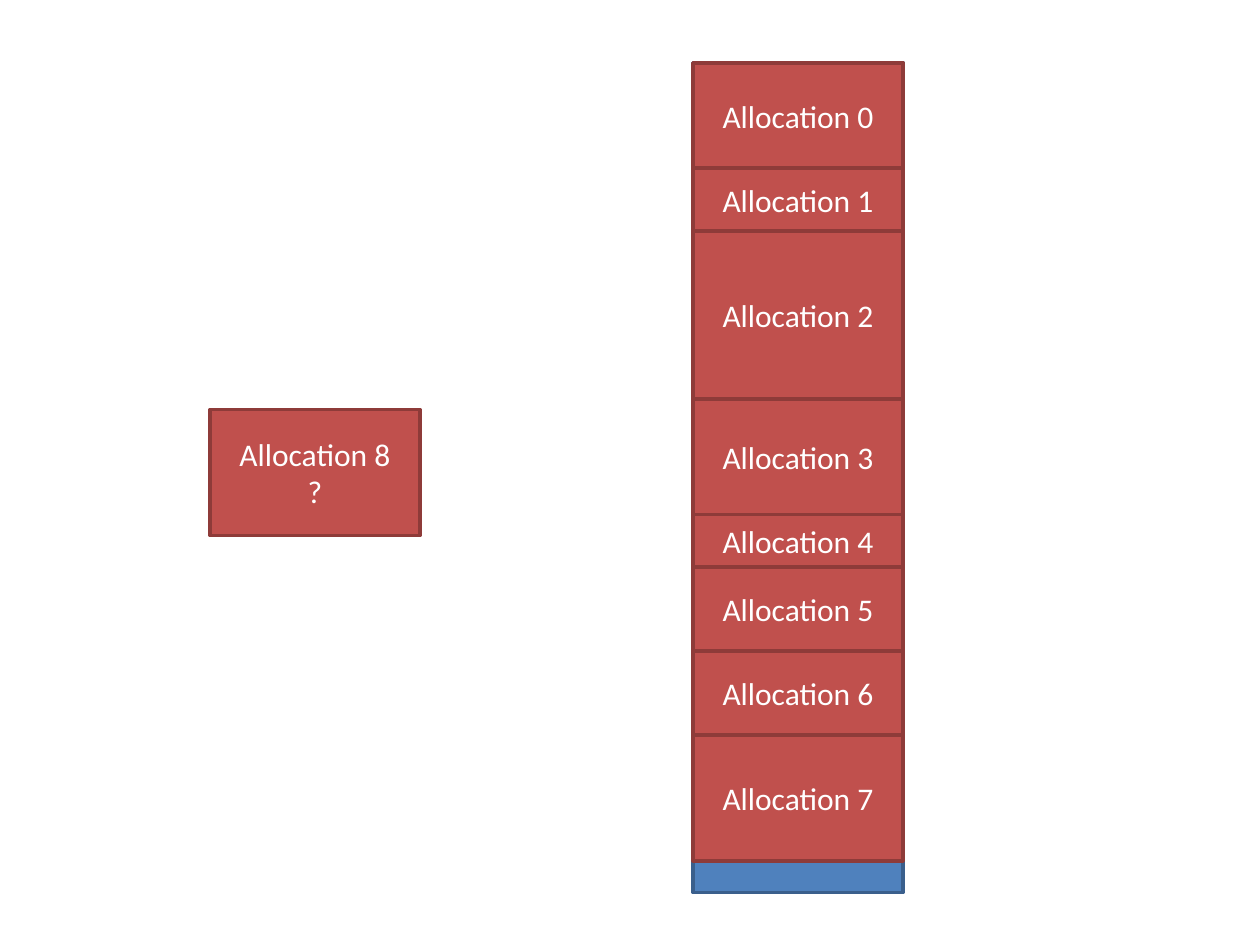
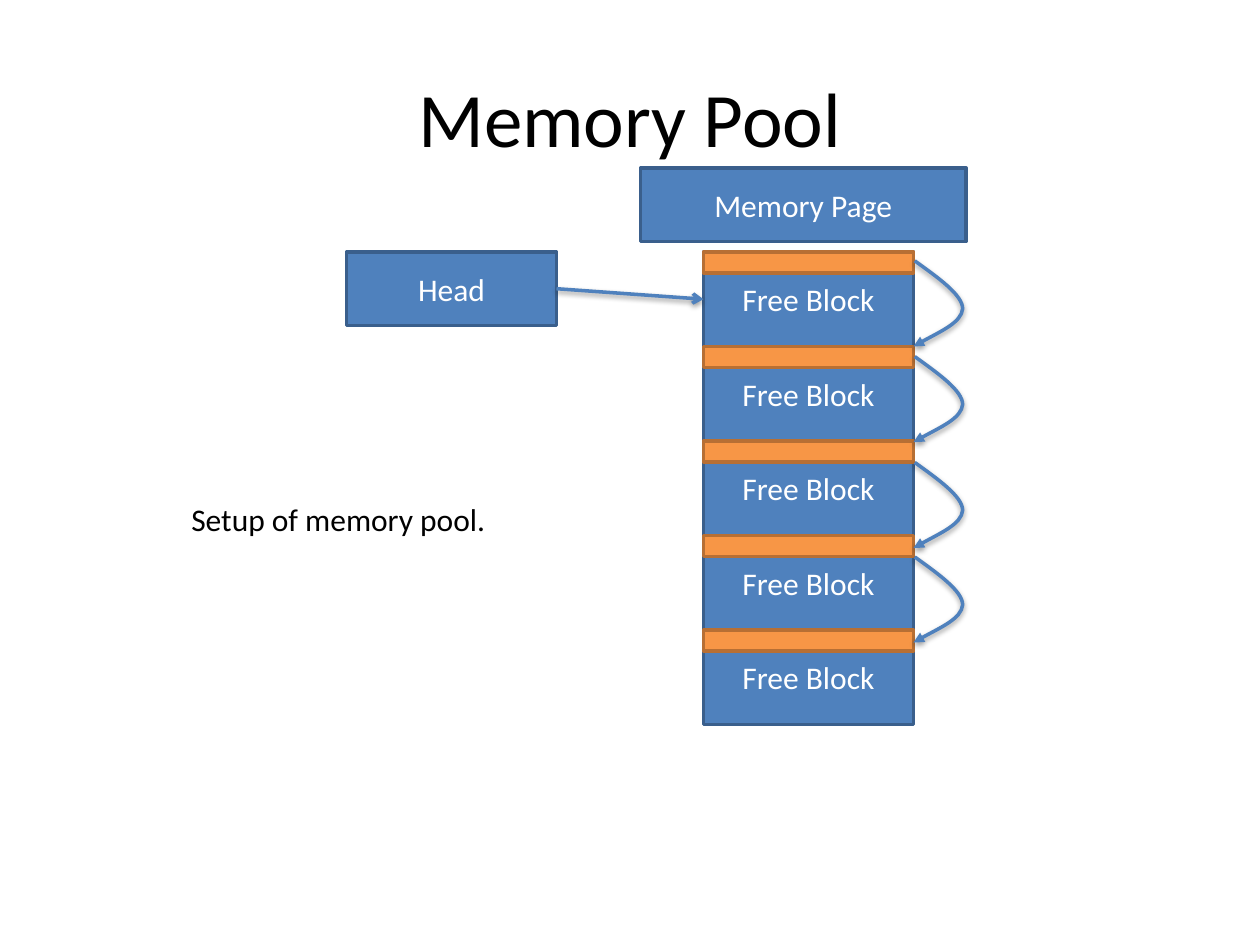
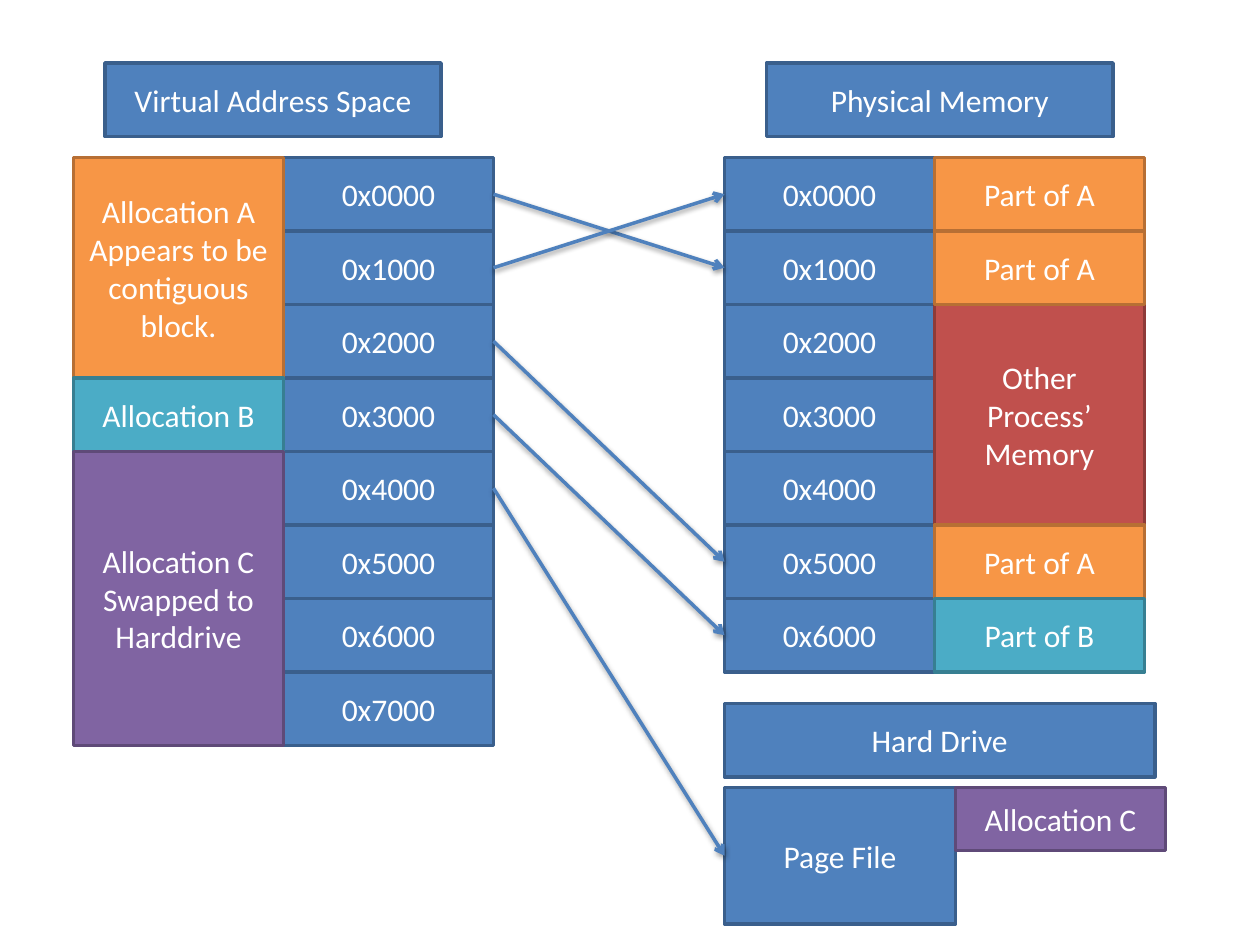
from lxml.etree import SubElement
from pptx import Presentation
from pptx.dml.color import RGBColor
from pptx.enum.shapes import MSO_CONNECTOR, MSO_SHAPE
from pptx.enum.text import MSO_ANCHOR, MSO_AUTO_SIZE, PP_ALIGN
from pptx.oxml.ns import qn
from pptx.util import Inches, Pt

WHITE = RGBColor(0xFF, 0xFF, 0xFF)
BLACK = RGBColor(0x00, 0x00, 0x00)
BLUE = RGBColor(0x4F, 0x81, 0xBD)
RED = RGBColor(0xC0, 0x50, 0x4D)
ORANGE = RGBColor(0xF7, 0x96, 0x46)
TEAL = RGBColor(0x4B, 0xAC, 0xC6)
PURPLE = RGBColor(0x80, 0x64, 0xA2)
BORDERS = {
    BLUE: RGBColor(0x3A, 0x5F, 0x8C),
    RED: RGBColor(0x8E, 0x3B, 0x39),
    ORANGE: RGBColor(0xB7, 0x6F, 0x34),
    TEAL: RGBColor(0x37, 0x7F, 0x92),
    PURPLE: RGBColor(0x5F, 0x4A, 0x78),
}
FONT = "Calibri"
TITLE_ONLY, BLANK = 5, 6
CELL_WIDTH = 20
ROW_HEIGHT = 7


def grid(units):
    return Inches(units / 12)


class MemoryDeck:
    def __init__(self):
        self.deck = Presentation()
        self.deck.slide_width = Inches(10)
        self.deck.slide_height = Inches(7.5)
        self.page = None

    def new_page(self, layout=BLANK):
        self.page = self.deck.slides.add_slide(self.deck.slide_layouts[layout])

    def set_text(self, frame, words, size, color, align):
        frame.text = words
        for para in frame.paragraphs:
            para.alignment = align
            para.font.name = FONT
            para.font.size = Pt(size)
            para.font.color.rgb = color

    def title(self, words):
        box = self.page.shapes.title
        box.left, box.top = Inches(0.5), Inches(0.3)
        box.width, box.height = Inches(9), Inches(1.25)
        box.text_frame.vertical_anchor = MSO_ANCHOR.MIDDLE
        self.set_text(box.text_frame, words, 44, BLACK, PP_ALIGN.CENTER)

    def note(self, words, left, top, width, height):
        box = self.page.shapes.add_textbox(left, top, width, height)
        box.text_frame.word_wrap = False
        box.text_frame.auto_size = MSO_AUTO_SIZE.SHAPE_TO_FIT_TEXT
        self.set_text(box.text_frame, words, 18, BLACK, PP_ALIGN.LEFT)

    def block(self, words, left, top, width=CELL_WIDTH, height=ROW_HEIGHT, color=BLUE):
        box = self.page.shapes.add_shape(
            MSO_SHAPE.RECTANGLE, grid(left), grid(top), grid(width), grid(height))
        box.shadow.inherit = False
        box.fill.solid()
        box.fill.fore_color.rgb = color
        box.line.color.rgb = BORDERS[color]
        box.line.width = Pt(2)
        if words:
            box.text_frame.vertical_anchor = MSO_ANCHOR.MIDDLE
            self.set_text(box.text_frame, words, 18, WHITE, PP_ALIGN.CENTER)

    def finish_arrow(self, arrow, head):
        arrow.line.color.rgb = BLUE
        arrow.line.width = Pt(2)
        properties = arrow.element.spPr
        SubElement(properties.find(qn("a:ln")), qn("a:tailEnd"), type=head)
        effects = SubElement(properties, qn("a:effectLst"))
        shadow = SubElement(effects, qn("a:outerShdw"), blurRad="40000",
                            dist="20000", dir="5400000", rotWithShape="0")
        tint = SubElement(shadow, qn("a:srgbClr"), val=str(BLACK))
        SubElement(tint, qn("a:alpha"), val="38000")

    def arrow(self, start_x, start_y, end_x, end_y):
        line = self.page.shapes.add_connector(
            MSO_CONNECTOR.STRAIGHT, grid(start_x), grid(start_y), grid(end_x), grid(end_y))
        self.finish_arrow(line, "arrow")

    def loop_arrow(self, top):
        offsets = [(7.26, 0), (7.44, 0.13), (7.64, 0.27), (7.64, 0.38),
                   (7.63, 0.49), (7.42, 0.58), (7.25, 0.68)]
        points = [(Inches(x), Inches(top + y)) for x, y in offsets]
        builder = self.page.shapes.build_freeform(*points[0])
        builder.add_line_segments(points[1:], close=False)
        curve = builder.convert_to_shape()
        curve.fill.background()
        outline = next(curve.element.iter(qn("a:path")))
        segments = outline.findall(qn("a:lnTo"))
        for first in range(0, len(segments), 3):
            bezier = SubElement(outline, qn("a:cubicBezTo"))
            for segment in segments[first:first + 3]:
                bezier.append(segment[0])
                outline.remove(segment)
        self.finish_arrow(curve, "triangle")


def allocation_page(show):
    show.new_page()
    show.block("", 66, 6, height=79)
    top = 6
    for number, height in enumerate([10, 6, 16, 11, 5, 8, 8, 12]):
        show.block(f"Allocation {number}", 66, top, height=height, color=RED)
        top += height
    show.block("Allocation 8\n?", 20, 39, height=12, color=RED)


def pool_page(show):
    show.new_page(TITLE_ONLY)
    show.title("Memory Pool")
    show.block("Head", 33, 24)
    show.note("Setup of memory pool.", Inches(1.42), Inches(3.92), Inches(2.56), Inches(0.4))
    for index in range(5):
        top = 24 + 9 * index
        show.block("Free Block", 67, top, height=9)
        show.block("", 67, top, height=2, color=ORANGE)
    show.arrow(53, 27.5, 67, 28.5)
    for top in (2.07, 2.83, 3.67, 4.42):
        show.loop_arrow(top)
    show.block("Memory Page", 61, 16, width=31)


def address_page(show):
    first_row = 15
    virtual, physical = 27, 69
    show.new_page()
    show.block("Virtual Address Space", 10, 6, width=32)
    show.block("Physical Memory", 73, 6, width=33)
    for left, count in ((virtual, 8), (physical, 7)):
        for row in range(count):
            show.block(f"0x{row}000", left, first_row + ROW_HEIGHT * row)
    show.block("Hard Drive", physical, 67, width=41)
    show.block("Page File", physical, 75, width=22, height=13)

    owned = virtual - CELL_WIDTH
    parts = physical + CELL_WIDTH
    spans = [
        ("Allocation A\nAppears to be contiguous block.", owned, 0, 3, ORANGE),
        ("Allocation B", owned, 3, 1, TEAL),
        ("Allocation C\nSwapped to Harddrive", owned, 4, 4, PURPLE),
        ("Other Process’\nMemory", parts, 2, 3, RED),
        ("Part of A", parts, 0, 1, ORANGE),
        ("Part of A", parts, 1, 1, ORANGE),
        ("Part of A", parts, 5, 1, ORANGE),
        ("Part of B", parts, 6, 1, TEAL),
    ]
    for words, left, row, rows, color in spans:
        show.block(words, left, first_row + ROW_HEIGHT * row,
                   height=ROW_HEIGHT * rows, color=color)
    show.block("Allocation C", 91, 75, height=6, color=PURPLE)

    def middle(row):
        return first_row + ROW_HEIGHT * (row + 0.5)

    targets = [middle(1), middle(0), middle(5), middle(6), 81.5]
    for row, target in enumerate(targets):
        show.arrow(virtual + CELL_WIDTH, middle(row), physical, target)


show = MemoryDeck()
allocation_page(show)
pool_page(show)
address_page(show)
show.deck.save("out.pptx")
